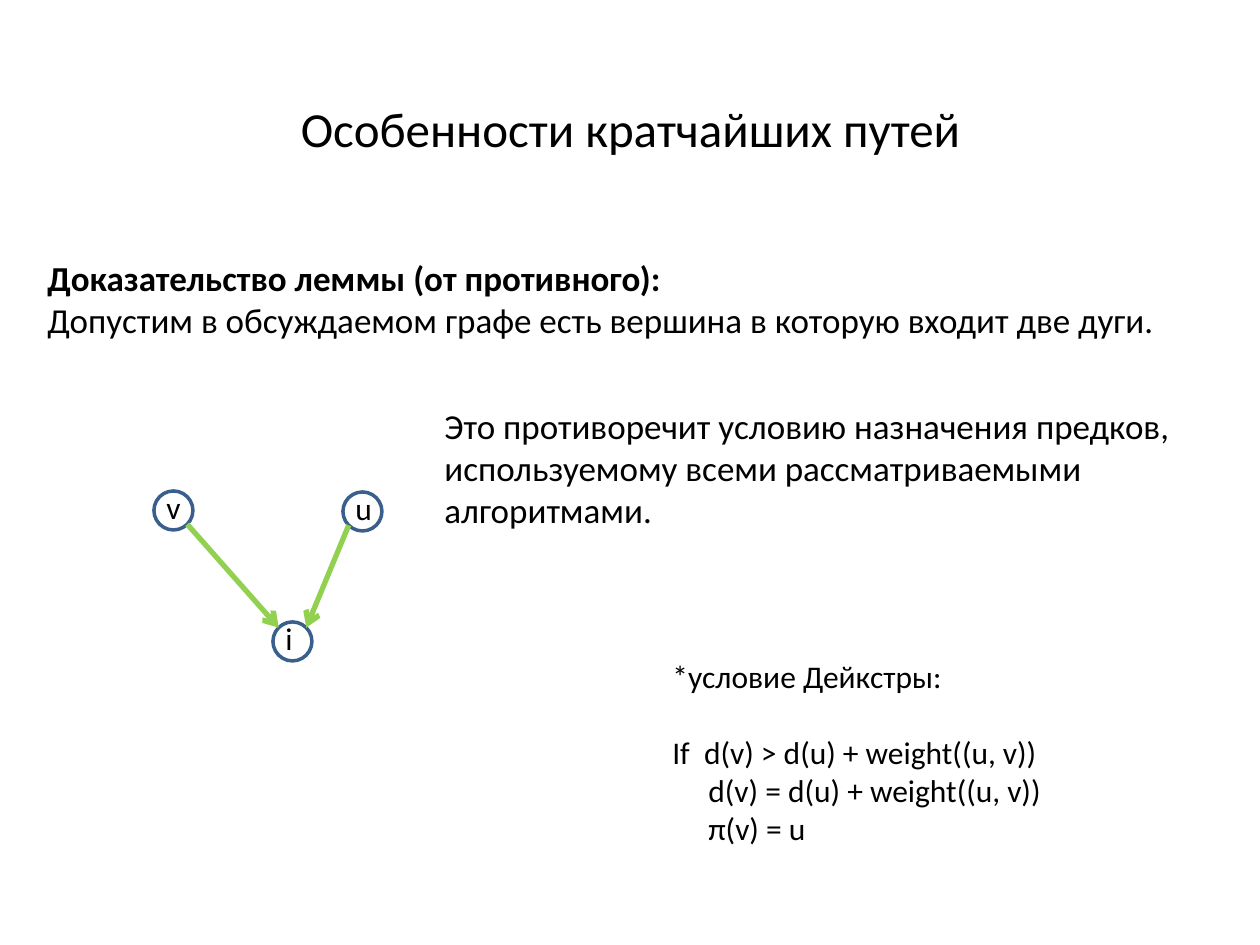
import math
import pptx
import pptx.util
import pptx.dml.color
import pptx.enum.shapes
import pptx.enum.text
import pptx.oxml.ns
import lxml.etree

SCALE = 914400 // 126
FONT = "Calibri"
BLACK, WHITE, RING, ARC = "000000", "FFFFFF", "3A5F8C", "92D050"
ANCHOR = pptx.enum.text.MSO_ANCHOR
ALIGN = pptx.enum.text.PP_ALIGN

TITLE = ("Особенности кратчайших путей", (95, 26, 1071, 203))
PASSAGES = [
    dict(box=(35, 224, 1191, 149), size=20, anchor=ANCHOR.MIDDLE, lines=[
        dict(text="Доказательство леммы (от противного):", bold=True),
        dict(text="Допустим в обсуждаемом графе есть вершина в которую входит две дуги."),
    ]),
    dict(box=(432, 393, 764, 149), size=20, anchor=ANCHOR.MIDDLE, lines=[
        dict(text="Это противоречит условию назначения предков, "
                  "используемому всеми рассматриваемыми алгоритмами."),
    ]),
    dict(box=(660, 651, 546, 204), size=18, anchor=ANCHOR.TOP, lines=[
        dict(text="*условие Дейкстры:", after=22),
        dict(text="If  d(v) > d(u) + weight((u, v))"),
        dict(text="d(v) = d(u) + weight((u, v))", indent=36),
        dict(text="π(v) = u", indent=36),
    ]),
]
NODE_SIZE = 39
NODES = {"v": (154, 491, 40), "u": (343, 492, 43), "i": (273, 622, 33)}
LABEL_RISE, LABEL_HEIGHT = 9, 50
ARCS = [("u", "i"), ("v", "i")]


def px(value):
    return pptx.util.Emu(round(value * SCALE))


def color(value):
    return pptx.dml.color.RGBColor.from_string(value)


def write(frame, lines, size=18, anchor=ANCHOR.TOP, align=ALIGN.LEFT, wrap=True):
    frame.word_wrap = wrap
    frame.vertical_anchor = anchor
    for number, line in enumerate(lines):
        paragraph = frame.paragraphs[0] if number == 0 else frame.add_paragraph()
        paragraph.alignment = align
        paragraph.space_before = pptx.util.Pt(0)
        paragraph.space_after = pptx.util.Pt(line.get("after", 0))
        if "indent" in line:
            paragraph._p.get_or_add_pPr().set("marL", str(px(line["indent"])))
        run = paragraph.add_run()
        run.text = line["text"]
        run.font.name = FONT
        run.font.size = pptx.util.Pt(size)
        run.font.bold = line.get("bold", False)
        run.font.color.rgb = color(BLACK)


def add_text(box, lines, **style):
    write(slide.shapes.add_textbox(*map(px, box)).text_frame, lines, **style)


def add_node(name):
    left, top, label_width = NODES[name]
    ring = slide.shapes.add_shape(pptx.enum.shapes.MSO_SHAPE.OVAL,
                                  *map(px, (left, top, NODE_SIZE, NODE_SIZE)))
    ring.shadow.inherit = False
    ring.fill.solid()
    ring.fill.fore_color.rgb = color(WHITE)
    ring.line.color.rgb = color(RING)
    ring.line.width = pptx.util.Pt(2)
    add_text((left, top - LABEL_RISE, label_width, LABEL_HEIGHT),
             [dict(text=name)], wrap=False)


def rim(name, side, vertical):
    left, top, _ = NODES[name]
    radius = NODE_SIZE / 2
    reach = radius * math.sqrt(0.5)
    return left + radius + side * reach, top + radius + vertical * reach


def add_arc(source, target):
    side = 1 if NODES[target][0] > NODES[source][0] else -1
    ends = rim(source, side, 1) + rim(target, -side, -1)
    arc = slide.shapes.add_connector(pptx.enum.shapes.MSO_CONNECTOR.STRAIGHT,
                                     *map(px, ends))
    arc.line.color.rgb = color(ARC)
    arc.line.width = pptx.util.Pt(3)
    qn = pptx.oxml.ns.qn
    lxml.etree.SubElement(arc.line._get_or_add_ln(), qn("a:tailEnd"), type="arrow")
    lxml.etree.SubElement(arc._element.spPr, qn("a:effectLst"))


deck = pptx.Presentation()
deck.slide_width, deck.slide_height = px(1260), px(945)
slide = deck.slides.add_slide(deck.slide_layouts[5])
slide.background.fill.solid()
slide.background.fill.fore_color.rgb = color(WHITE)

heading, heading_box = TITLE
title = slide.shapes.title
title.left, title.top, title.width, title.height = map(px, heading_box)
write(title.text_frame, [dict(text=heading)], size=28,
      anchor=ANCHOR.MIDDLE, align=ALIGN.CENTER)

for node in NODES:
    add_node(node)
for source, target in ARCS:
    add_arc(source, target)
for passage in PASSAGES:
    add_text(**passage)

deck.save("out.pptx")
